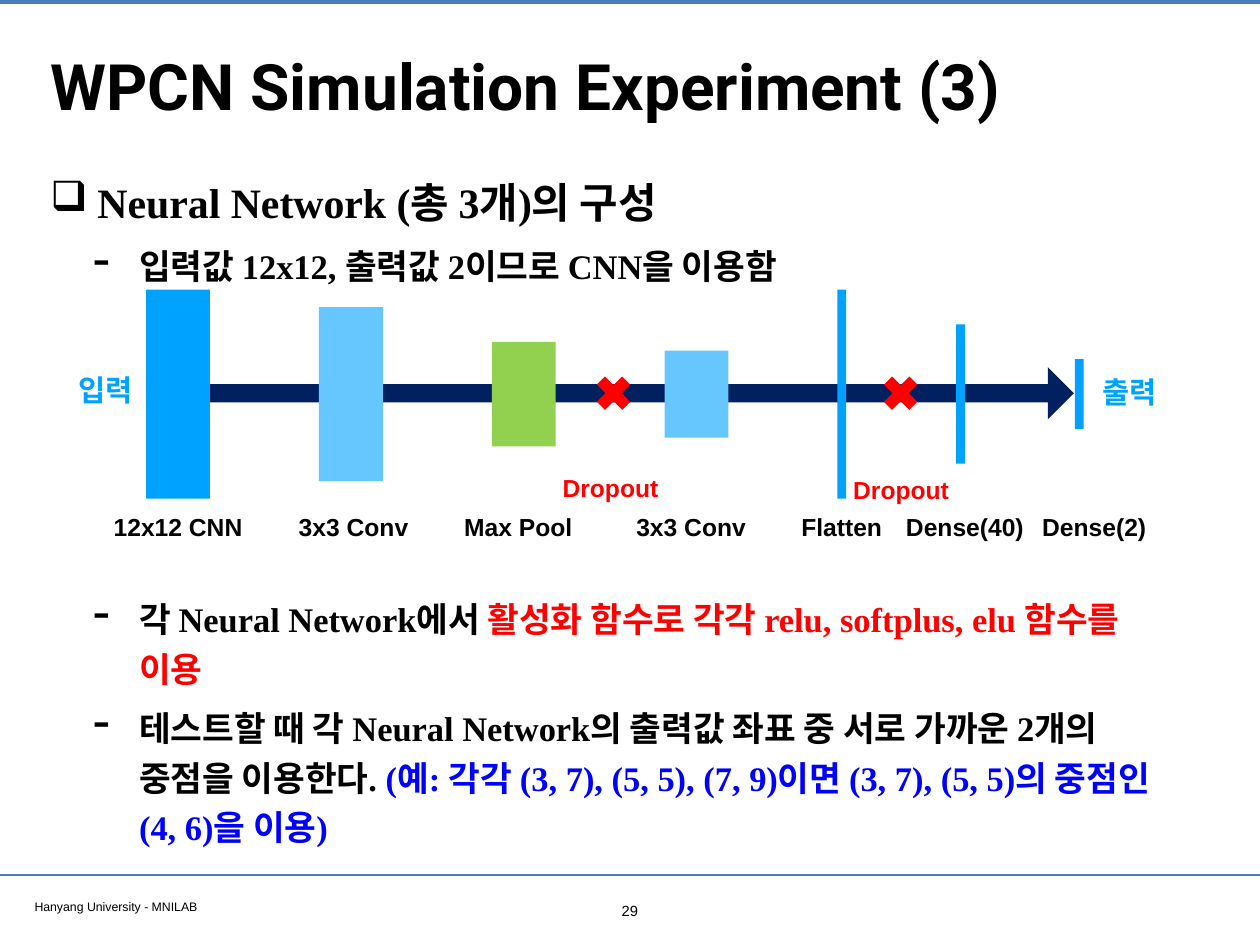
from dataclasses import dataclass
from pptx import Presentation
from pptx.dml.color import RGBColor
from pptx.enum.shapes import MSO_CONNECTOR, MSO_SHAPE
from pptx.enum.text import MSO_ANCHOR, PP_ALIGN
from pptx.oxml.ns import qn
from pptx.util import Inches, Pt
from lxml import etree

RECT, ARROW, CROSS = MSO_SHAPE.RECTANGLE, MSO_SHAPE.RIGHT_ARROW, MSO_SHAPE.MATH_MULTIPLY
STRAIGHT = MSO_CONNECTOR.STRAIGHT
LEFT, CENTER = PP_ALIGN.LEFT, PP_ALIGN.CENTER
TOP, MIDDLE = MSO_ANCHOR.TOP, MSO_ANCHOR.MIDDLE


@dataclass(frozen=True)
class Theme:
    heading: str = "Roboto"
    body: str = "Times New Roman"
    label: str = "Arial"
    title_size: int = 52
    topic_size: int = 34
    point_size: int = 28
    end_size: int = 24
    label_size: int = 20
    number_size: int = 12
    footer_size: int = 10
    black: str = "000000"
    red: str = "FF0000"
    blue: str = "0000FF"
    rule: str = "4A7EBB"
    flow: str = "002060"
    dense: str = "00A2FF"
    conv: str = "66C7FF"
    pool: str = "92D050"


THEME = Theme()

# Name, left edge, width, height in cells, colour, label centre
LAYERS = [
    ("12x12 CNN", 0, 0.72, 12, THEME.dense, 0.36),
    ("3x3 Conv", 1.95, 0.72, 10, THEME.conv, 2.34),
    ("Max Pool", 3.9, 0.72, 6, THEME.pool, 4.2),
    ("3x3 Conv", 5.85, 0.72, 5, THEME.conv, 6.15),
    ("Flatten", 7.8, 0.1, 12, THEME.dense, 7.85),
    ("Dense(40)", 9.14, 0.1, 8, THEME.dense, 9.24),
    ("Dense(2)", 10.48, 0.1, 4, THEME.dense, 10.7),
]
# Cross centre, label centre, label middle below the axis
DROPOUTS = [(5.28, 5.24, 1.06), (8.52, 8.52, 1.08)]

# Each point: level, then its (text, colour) spans
INTRO = [
    (0, [("Neural Network (총 3개)의 구성", THEME.black)]),
    (1, [("입력값 12x12, 출력값 2이므로 CNN을 이용함", THEME.black)]),
]
DETAILS = [
    (1, [("각 Neural Network에서 ", THEME.black),
         ("활성화 함수로 각각 relu, softplus, elu 함수를 이용", THEME.red)]),
    (1, [("테스트할 때 각 Neural Network의 출력값 좌표 중 서로 가까운 2개의 중점을 이용한다. ",
          THEME.black),
         ("(예: 각각 (3, 7), (5, 5), (7, 9)이면 (3, 7), (5, 5)의 중점인 (4, 6)을 이용)",
          THEME.blue)]),
]


def rgb(color):
    return RGBColor.from_string(color)


def add_frame(page, left, top, width, height, anchor=TOP, wrap=True):
    box = page.shapes.add_textbox(Inches(left), Inches(top), Inches(width), Inches(height))
    frame = box.text_frame
    frame.word_wrap = wrap
    frame.vertical_anchor = anchor
    frame.margin_left = frame.margin_right = Inches(0.06)
    frame.margin_top = frame.margin_bottom = Inches(0.06)
    return frame


def set_font(para, name, size, bold, color=None):
    para.font.name = name
    para.font.size = Pt(size)
    para.font.bold = bold
    if color:
        para.font.color.rgb = rgb(color)


def add_text(page, left, top, width, height, text, name, size, color=THEME.black,
             bold=True, align=LEFT, anchor=MIDDLE, wrap=True):
    frame = add_frame(page, left, top, width, height, anchor, wrap)
    para = frame.paragraphs[0]
    para.text = text
    para.alignment = align
    set_font(para, name, size, bold, color)


def add_label(page, center, middle, text, color=THEME.black, size=THEME.label_size):
    width, height = 1.6, 0.46
    add_text(page, center - width / 2, middle - height / 2, width, height, text,
             THEME.label, size, color, align=CENTER, wrap=False)


def add_block(page, kind, left, middle, width, height, color):
    block = page.shapes.add_shape(kind, Inches(left), Inches(middle - height / 2),
                                  Inches(width), Inches(height))
    block.shadow.inherit = False
    block.fill.solid()
    block.fill.fore_color.rgb = rgb(color)
    block.line.fill.background()
    return block


def add_rule(page, top, width, weight):
    rule = page.shapes.add_connector(STRAIGHT, 0, Inches(top), Inches(width), Inches(top))
    rule.line.color.rgb = rgb(THEME.rule)
    rule.line.width = Pt(weight)
    etree.SubElement(rule._element.spPr, qn("a:effectLst"))


def set_bullet(para, mark, indent, hanging, percent):
    props = para._p.get_or_add_pPr()
    props.set("marL", str(Inches(indent)))
    props.set("indent", str(-Inches(hanging)))
    etree.SubElement(props, qn("a:buSzPct")).set("val", str(percent * 1000))
    etree.SubElement(props, qn("a:buChar")).set("char", mark)


def add_points(page, left, top, width, height, points):
    frame = add_frame(page, left, top, width, height)
    for index, (level, spans) in enumerate(points):
        para = frame.add_paragraph() if index else frame.paragraphs[0]
        para.level = level
        para.line_spacing = 1.2
        if index:
            para.space_before = Pt(8)
        if level:
            set_bullet(para, "-", 1, 0.52, 145)
        else:
            set_bullet(para, "❑", 0.53, 0.53, 100)
        set_font(para, THEME.body, THEME.point_size if level else THEME.topic_size, True)
        for text, color in spans:
            span = para.add_run()
            span.text = text
            span.font.color.rgb = rgb(color)


def add_network(page, left, top, height):
    cell = height / 12
    axis = top + height / 2

    # Data flow arrow behind the layers
    arrow = add_block(page, ARROW, left + 0.32, axis - 0.01, 10.15, 0.59, THEME.flow)
    arrow.adjustments[0] = 0.35

    # Layers and their names
    for name, offset, width, cells, color, center in LAYERS:
        add_block(page, RECT, left + offset, axis, width, cells * cell, color)
        add_label(page, left + center, top + height + 0.32, name)

    # Input and output
    add_label(page, left - 0.46, axis - 0.05, "입력", THEME.dense, THEME.end_size)
    add_label(page, left + 11.1, axis - 0.03, "출력", THEME.dense, THEME.end_size)

    # Dropout marks
    for cross, center, drop in DROPOUTS:
        add_block(page, CROSS, left + cross - 0.28, axis - 0.01, 0.55, 0.55, THEME.red)
        add_label(page, left + center, axis + drop, "Dropout", THEME.red)


def add_footer(page, top, width):
    add_rule(page, top, width, 2)
    add_text(page, 0.33, top + 0.21, 5.46, 0.26, "Hanyang University - MNILAB",
             THEME.label, THEME.footer_size, bold=False, anchor=TOP)
    add_text(page, width / 2 - 0.2, top + 0.24, 0.4, 0.31, "29",
             THEME.label, THEME.number_size, bold=False, align=CENTER, anchor=TOP)


def main():
    deck = Presentation()
    deck.slide_width, deck.slide_height = Inches(14.22), Inches(10.67)
    page = deck.slides.add_slide(deck.slide_layouts[6])

    # Header
    add_rule(page, 0.02, 14.22, 3.2)
    add_text(page, 0.51, 0.28, 13.21, 1.35, "WPCN Simulation Experiment (3)",
             THEME.heading, THEME.title_size)

    # Content
    add_points(page, 0.51, 1.82, 12.89, 1.4, INTRO)
    add_network(page, 1.65, 3.27, 2.36)
    add_points(page, 0.51, 6.6, 12.89, 2.98, DETAILS)

    add_footer(page, 9.88, 14.22)
    deck.save("out.pptx")


if __name__ == "__main__":
    main()
